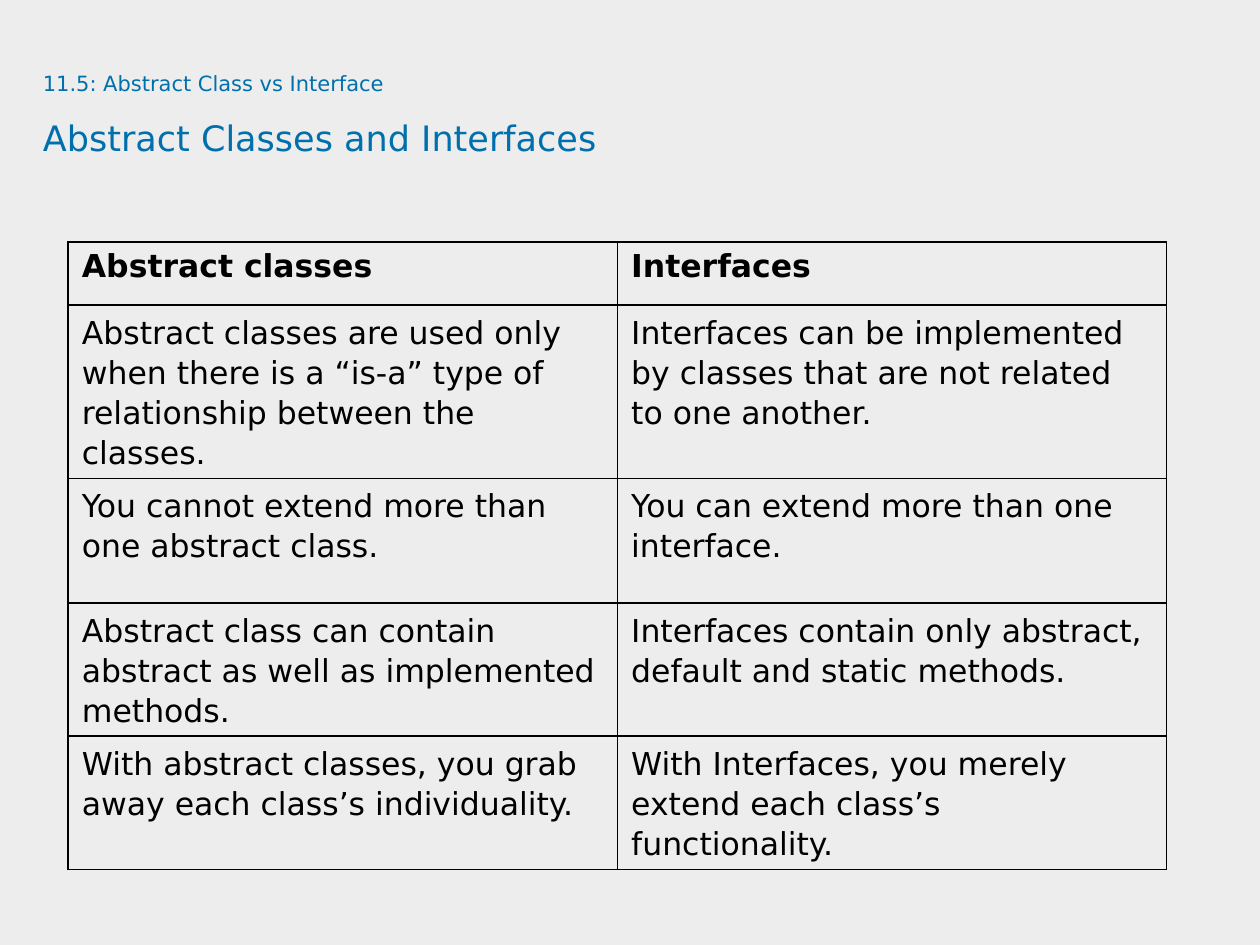
from dataclasses import dataclass

from lxml.etree import SubElement
from pptx import Presentation
from pptx.dml.color import RGBColor as Color
from pptx.enum.text import MSO_ANCHOR as Anchor, MSO_AUTO_SIZE as AutoSize, PP_ALIGN as Align
from pptx.oxml.ns import qn
from pptx.util import Inches, Pt


@dataclass(frozen=True)
class Theme:
    font: str = "DejaVu Sans"
    background: Color = Color.from_string("EDEDED")
    heading: Color = Color.from_string("0070AD")
    ink: Color = Color.from_string("000000")
    section_size: int = 12
    title_size: int = 20
    table_size: int = 18


THEME = Theme()
SECTION = "11.5: Abstract Class vs Interface"
TITLE = "Abstract Classes and Interfaces"
COMPARISON = [
    ("Abstract classes", "Interfaces"),
    ("Abstract classes are used only when there is a “is-a” type of relationship between the classes.",
     "Interfaces can be implemented by classes that are not related to one another."),
    ("You cannot extend more than one abstract class.",
     "You can extend more than one interface."),
    ("Abstract class can contain abstract as well as implemented methods.",
     "Interfaces contain only abstract, default and static methods."),
    ("With abstract classes, you grab away each class’s individuality.",
     "With Interfaces, you merely extend each class’s functionality."),
]
ROW_HEIGHTS = [0.5, 1.36, 0.99, 1.01, 0.93]


def set_all(target, values):
    for name, value in values.items():
        setattr(target, name, value)


def add_span(para, text, size, color, bold=False):
    span = para.add_run()
    span.text = text
    set_all(span.font, {"name": THEME.font, "size": Pt(size), "bold": bold})
    span.font.color.rgb = color


def place_title(page, box):
    """Section line and slide title share the title placeholder."""
    title = page.shapes.title
    set_all(title, dict(zip(("left", "top", "width", "height"), box)))
    frame = title.text_frame
    set_all(frame, {"margin_left": 0, "margin_top": 0, "margin_right": 0, "margin_bottom": 0,
                    "word_wrap": True, "auto_size": AutoSize.NONE,
                    "vertical_anchor": Anchor.TOP})
    para = frame.paragraphs[0]
    set_all(para, {"alignment": Align.LEFT, "line_spacing": 1.5})
    add_span(para, SECTION, THEME.section_size, THEME.heading)
    para.add_line_break()
    add_span(para, TITLE, THEME.title_size, THEME.heading)


def draw_borders(cell):
    properties = cell._tc.get_or_add_tcPr()
    for side in ("lnL", "lnR", "lnT", "lnB"):
        line = SubElement(properties, qn(f"a:{side}"), w=str(Pt(1)))
        fill = SubElement(line, qn("a:solidFill"))
        SubElement(fill, qn("a:srgbClr"), val=str(THEME.ink))


def fill_cell(cell, text, is_header):
    draw_borders(cell)
    cell.fill.background()
    set_all(cell, {"margin_left": Inches(0.11), "margin_right": Inches(0.11),
                   "margin_top": Inches(0.05), "margin_bottom": Inches(0.05),
                   "vertical_anchor": Anchor.TOP})
    para = cell.text_frame.paragraphs[0]
    if not is_header:
        para.line_spacing = 1.1
    # Space before, as a share of the type size
    space = SubElement(para._p.get_or_add_pPr(), qn("a:spcBef"))
    SubElement(space, qn("a:spcPct"), val="20000")
    add_span(para, text, THEME.table_size, THEME.ink, bold=is_header)


def place_comparison(page, box):
    """Two equal columns under a bold header row."""
    columns = len(COMPARISON[0])
    table = page.shapes.add_table(len(COMPARISON), columns, *box).table
    set_all(table, {"first_row": False, "horz_banding": False})
    for column in table.columns:
        column.width = box[2] // columns
    for index, (texts, height) in enumerate(zip(COMPARISON, ROW_HEIGHTS)):
        table.rows[index].height = Inches(height)
        for cell, text in zip(table.rows[index].cells, texts):
            fill_cell(cell, text, is_header=index == 0)


def main():
    deck = Presentation()
    set_all(deck, {"slide_width": Inches(10), "slide_height": Inches(7.5)})
    page = deck.slides.add_slide(deck.slide_layouts.get_by_name("Title Only"))

    # Background
    page.background.fill.solid()
    page.background.fill.fore_color.rgb = THEME.background

    # Title and table
    place_title(page, [Inches(n) for n in (0.34, 0.46, 9.09, 0.94)])
    place_comparison(page, [Inches(n) for n in (0.54, 1.92, 8.72, sum(ROW_HEIGHTS))])
    deck.save("out.pptx")


if __name__ == "__main__":
    main()
